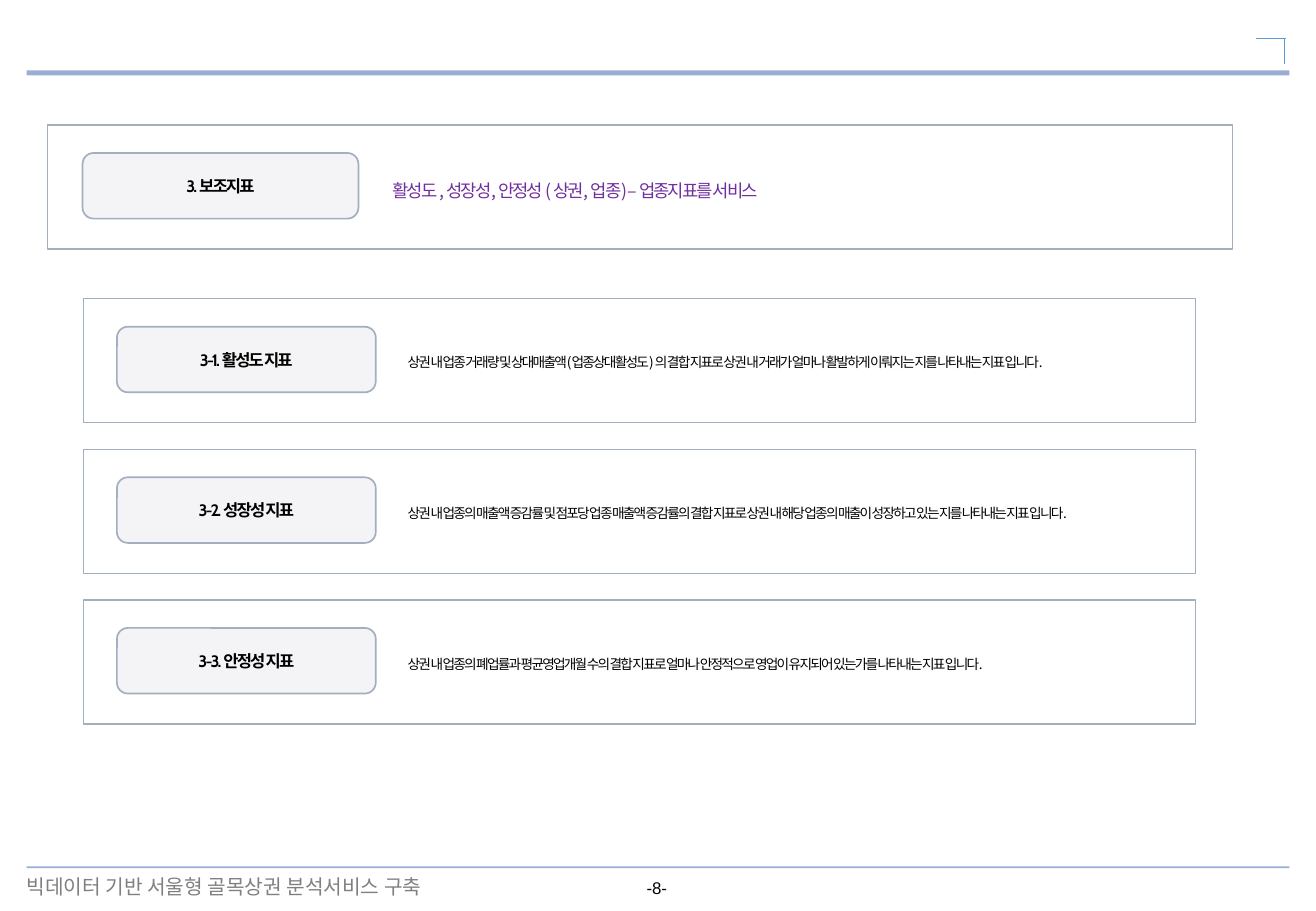
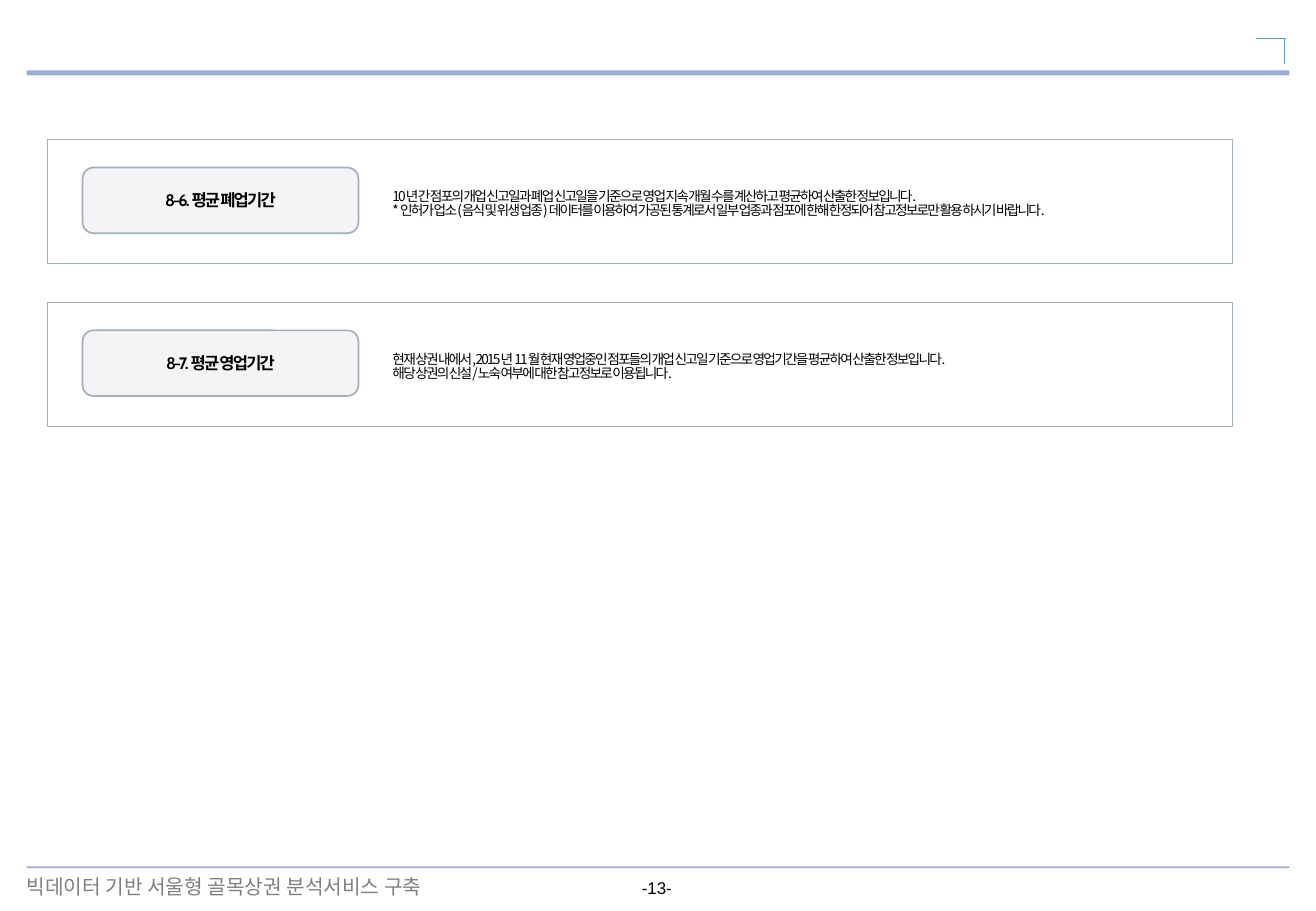
from dataclasses import dataclass

from lxml.etree import SubElement
from pptx import Presentation
from pptx.dml.color import RGBColor
from pptx.enum.shapes import MSO_CONNECTOR, MSO_SHAPE
from pptx.enum.text import MSO_ANCHOR, MSO_AUTO_SIZE, PP_ALIGN
from pptx.oxml.ns import qn
from pptx.util import Emu, Pt

EMU_PER_PX = 9144  # 100 px to the inch
SLIDE_WIDTH, SLIDE_HEIGHT = 1083, 750
BLANK_LAYOUT = 6

MAIN_LEFT, MAIN_WIDTH = 39, 975
SUB_LEFT, SUB_WIDTH = 69, 915
CARD_HEIGHT = 102


@dataclass(frozen=True)
class TextStyle:
    size: float
    color: str
    latin: str = "Noto Sans CJK KR"
    bold: bool = False
    tracking: float = 0
    line_spacing: float = 1.0


@dataclass(frozen=True)
class Theme:
    east_asian: str = "Noto Sans CJK KR"
    band: str = "003399"
    band_opacity: int = 40
    corner: str = "5B9BD5"
    border: str = "A2AFBF"
    label_fill: str = "F4F4F6"
    footer: TextStyle = TextStyle(12, "808080")
    page_number: TextStyle = TextStyle(10, "000000", latin="Arial")
    label: TextStyle = TextStyle(9.8, "000000", latin="Cabin", bold=True, tracking=-1.1)
    body: TextStyle = TextStyle(8.1, "000000", tracking=-1.1, line_spacing=0.83)
    headline: TextStyle = TextStyle(10.5, "7030A0", tracking=-1.1)


THEME = Theme()

SUB_INDICATORS = [
    ("3-1. 활성도 지표",
     "상권 내 업종 거래량 및 상대매출액(업종상대활성도) 의 결합 지표로 "
     "상권 내 거래가 얼마나 활발하게 이뤄지는 지를 나타내는 지표 입니다."),
    ("3-2. 성장성 지표",
     "상권 내 업종의 매출액 증감률 및 점포당 업종 매출액 증감률의 결합 지표로 "
     "상권 내 해당 업종의 매출이 성장하고 있는 지를 나타내는 지표 입니다."),
    ("3-3. 안정성 지표",
     "상권 내 업종의 폐업률과 평균영업개월 수의 결합 지표로 "
     "얼마나 안정적으로 영업이 유지되어 있는가를 나타내는 지표 입니다."),
]

AVERAGE_PERIODS = [
    ("8-6. 평균 폐업기간",
     "10년 간 점포의 개업 신고일과 폐업 신고일을 기준으로 "
     "영업 지속 개월 수를 계산하고 평균하여 산출한 정보입니다.\n"
     "* 인허가 업소(음식 및 위생 업종) 데이터를 이용하여 가공된 통계로서 "
     "일부 업종과 점포에 한해 한정되어 참고정보로만 활용 하시기 바랍니다."),
    ("8-7. 평균 영업기간",
     "현재 상권 내에서, 2015년 11월 현재 영업중인 점포들의 "
     "개업 신고일 기준으로 영업기간을 평균하여 산출한 정보입니다.\n"
     "해당 상권의 신설/노숙 여부에 대한 참고정보로 이용됩니다."),
]


def px(length):
    return Emu(round(length * EMU_PER_PX))


def box(*lengths):
    return [px(length) for length in lengths]


def write(text_frame, text, style, align=PP_ALIGN.LEFT):
    text_frame.text = text
    for paragraph in text_frame.paragraphs:
        paragraph.alignment = align
        if style.line_spacing != 1:
            paragraph.line_spacing = style.line_spacing
        for run in paragraph.runs:
            run.font.size = Pt(style.size)
            run.font.bold = style.bold
            run.font.color.rgb = RGBColor.from_string(style.color)
            run.font.name = style.latin
            properties = run._r.get_or_add_rPr()
            SubElement(properties, qn("a:ea")).set("typeface", THEME.east_asian)
            if style.tracking:
                properties.set("spc", str(round(style.tracking * 100)))


def add_line(slide, start, end, color, width, opacity=100):
    line = slide.shapes.add_connector(MSO_CONNECTOR.STRAIGHT, *box(*start, *end))
    line.line.color.rgb = RGBColor.from_string(color)
    line.line.width = Pt(width)
    properties = line.element.spPr
    if opacity < 100:
        alpha = SubElement(properties.find(".//" + qn("a:srgbClr")), qn("a:alpha"))
        alpha.set("val", str(opacity * 1000))
    SubElement(properties, qn("a:effectLst"))


def add_panel(shapes, preset, place, width, fill=None):
    """Add a bordered shape, unfilled unless a fill colour is given."""
    panel = shapes.add_shape(preset, *box(*place))
    panel.shadow.inherit = False
    panel.line.color.rgb = RGBColor.from_string(THEME.border)
    panel.line.width = Pt(width)
    if fill:
        panel.fill.solid()
        panel.fill.fore_color.rgb = RGBColor.from_string(fill)
    else:
        panel.fill.background()
    return panel


def add_text(shapes, place, text, style, align=PP_ALIGN.LEFT, wrap=True):
    text_frame = shapes.add_textbox(*box(*place)).text_frame
    text_frame.word_wrap = wrap
    write(text_frame, text, style, align)
    return text_frame


def add_card(slide, left, top, width, label, text, style=THEME.body):
    """Add a framed label and description, scaled sideways to the card width."""
    scale = width / MAIN_WIDTH
    shapes = slide.shapes.add_group_shape().shapes
    add_panel(shapes, MSO_SHAPE.RECTANGLE, (left, top, width, CARD_HEIGHT), 0.75)

    label_place = (left + 29 * scale, top + 23, 227 * scale, 54)
    badge = add_panel(shapes, MSO_SHAPE.ROUNDED_RECTANGLE, label_place, 1, THEME.label_fill)
    badge.text_frame.word_wrap = False
    badge.text_frame.vertical_anchor = MSO_ANCHOR.MIDDLE
    write(badge.text_frame, label, THEME.label, PP_ALIGN.CENTER)

    text_place = (left + 284 * scale, top + 10, 691 * scale, 83)
    description = add_text(shapes, text_place, text, style)
    description.vertical_anchor = MSO_ANCHOR.MIDDLE
    description.margin_left = 0
    description.margin_top = description.margin_right = px(8)
    description.margin_bottom = px(4)


def add_page(presentation, number):
    """Add a slide with the shared bands, corner mark and footer."""
    slide = presentation.slides.add_slide(presentation.slide_layouts[BLANK_LAYOUT])
    for y, width in ((60, 3), (714, 1)):
        add_line(slide, (22, y), (1061, y), THEME.band, width, THEME.band_opacity)
    for start, end in (((1034, 32), (1058, 32)), ((1057, 32), (1057, 53))):
        add_line(slide, start, end, THEME.corner, 0.5)
    footer = add_text(slide.shapes, (12, 715, 399, 30),
                      "빅데이터 기반 서울형 골목상권 분석서비스 구축", THEME.footer)
    page_number = add_text(slide.shapes, (517, 718, 47, 27), f"-{number}-",
                           THEME.page_number, PP_ALIGN.CENTER, wrap=False)
    for text_frame in (footer, page_number):
        text_frame.auto_size = MSO_AUTO_SIZE.SHAPE_TO_FIT_TEXT
    return slide


def add_card_column(slide, left, top, width, step, cards):
    for index, (label, text) in enumerate(cards):
        add_card(slide, left, top + index * step, width, label, text)


def main():
    presentation = Presentation()
    presentation.slide_width, presentation.slide_height = box(SLIDE_WIDTH, SLIDE_HEIGHT)

    indicators = add_page(presentation, 8)
    add_card(indicators, MAIN_LEFT, 103, MAIN_WIDTH, "3. 보조지표",
             "활성도 , 성장성, 안정성 ( 상권, 업종) – 업종지표를 서비스", THEME.headline)
    add_card_column(indicators, SUB_LEFT, 246, SUB_WIDTH, 124, SUB_INDICATORS)

    periods = add_page(presentation, 13)
    add_card_column(periods, MAIN_LEFT, 115, MAIN_WIDTH, 134, AVERAGE_PERIODS)

    presentation.save("out.pptx")


if __name__ == "__main__":
    main()
